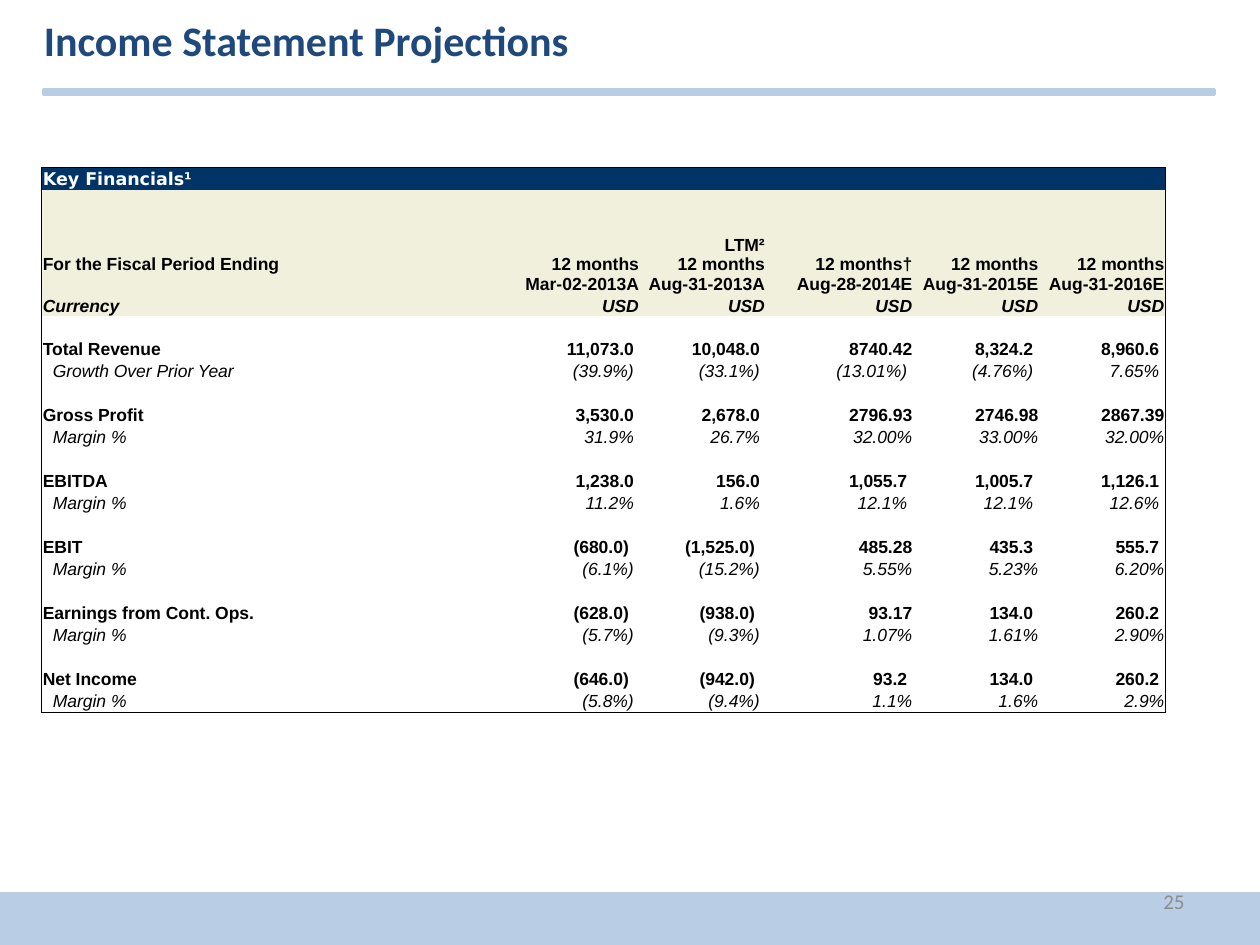
from lxml import etree
from pptx import Presentation
from pptx.dml.color import RGBColor
from pptx.enum.shapes import MSO_SHAPE as Shape
from pptx.enum.text import MSO_ANCHOR as Anchor, PP_ALIGN as Align
from pptx.oxml.ns import qn
from pptx.util import Inches, Pt

NAVY, CREAM, PALE_BLUE = "003366", "F0F0DC", "B9CDE5"
COLUMN_WIDTHS = [2.33, 2.42, 1, 1.17, 1, 1]
ROW_HEIGHT, PERIOD_HEIGHT = 0.175, 0.83
SPACE = 0.04  # width of one space at 10 pt
LINE = 0.16   # height of one line at 10 pt

PERIODS = ["For the Fiscal Period Ending", "12 months\vMar-02-2013A",
           "LTM²\v12 months\vAug-31-2013A", "12 months†\vAug-28-2014E",
           "12 months\vAug-31-2015E", "12 months\vAug-31-2016E"]
# Each section is a bold row and an italic ratio row; trailing spaces become right margins
SECTIONS = [
    (["Total Revenue", "11,073.0 ", "10,048.0 ", "8740.42", "8,324.2 ", "8,960.6 "],
     ["Growth Over Prior Year", "(39.9%) ", "(33.1%) ", "(13.01%) ", "(4.76%) ", "7.65% "]),
    (["Gross Profit", "3,530.0 ", "2,678.0 ", "2796.93", "2746.98", "2867.39"],
     ["Margin %", "31.9% ", "26.7% ", "32.00%", "33.00%", "32.00%"]),
    (["EBITDA", "1,238.0 ", "156.0 ", "1,055.7 ", "1,005.7 ", "1,126.1 "],
     ["Margin %", "11.2% ", "1.6% ", "12.1% ", "12.1% ", "12.6% "]),
    (["EBIT", "(680.0)  ", "(1,525.0)  ", "485.28", "435.3 ", "555.7 "],
     ["Margin %", "(6.1%) ", "(15.2%) ", "5.55%", "5.23%", "6.20%"]),
    (["Earnings from Cont. Ops.", "(628.0)  ", "(938.0)  ", "93.17", "134.0 ", "260.2 "],
     ["Margin %", "(5.7%) ", "(9.3%) ", "1.07%", "1.61%", "2.90%"]),
    (["Net Income", "(646.0)  ", "(942.0)  ", "93.2 ", "134.0 ", "260.2 "],
     ["Margin %", "(5.8%) ", "(9.4%) ", "1.1%", "1.6%", "2.9%"]),
]


def color(value):
    return RGBColor.from_string(value)


def set_font(paragraph, size, value, name="Arial", bold=False, italic=False):
    font = paragraph.font
    font.size, font.name = Pt(size), name
    font.bold, font.italic = bold, italic
    font.color.rgb = color(value)


def add_bar(slide, left, top, width, height, outline=None):
    bar = slide.shapes.add_shape(
        Shape.RECTANGLE, Inches(left), Inches(top), Inches(width), Inches(height))
    bar.shadow.inherit = False
    bar.fill.solid()
    bar.fill.fore_color.rgb = color(PALE_BLUE)
    if outline:
        bar.line.color.rgb = color(PALE_BLUE)
        bar.line.width = Pt(outline)
    else:
        bar.line.fill.background()


def add_label(slide, left, top, width, height, text, size, value, bold=False, align=Align.LEFT):
    box = slide.shapes.add_textbox(Inches(left), Inches(top), Inches(width), Inches(height))
    frame = box.text_frame
    frame.word_wrap = True
    frame.vertical_anchor = Anchor.MIDDLE
    paragraph = frame.paragraphs[0]
    paragraph.text, paragraph.alignment = text, align
    set_font(paragraph, size, value, "Calibri", bold)


def set_borders(cell, drawn_sides):
    """Draw a 1 pt black line on the given sides and none on the others."""
    properties = cell._tc.get_or_add_tcPr()
    for position, side in enumerate("LRTB"):
        line = etree.Element(qn(f"a:ln{side}"), w=str(Pt(1)))
        if side in drawn_sides:
            fill = etree.SubElement(line, qn("a:solidFill"))
            etree.SubElement(fill, qn("a:srgbClr"), val="000000")
        else:
            etree.SubElement(line, qn("a:noFill"))
        properties.insert(position, line)


def fill_cell(cell, text, is_label, fill, value, name, bold, italic, anchor):
    if fill:
        cell.fill.solid()
        cell.fill.fore_color.rgb = color(fill)
    else:
        cell.fill.background()
    trimmed = text.rstrip()
    cell.margin_left = cell.margin_top = Inches(0.01)
    cell.margin_right = Inches(0.01 + SPACE * (len(text) - len(trimmed)))
    cell.margin_bottom = 0
    cell.vertical_anchor = anchor
    paragraph = cell.text_frame.paragraphs[0]
    paragraph.text = trimmed
    paragraph.alignment = Align.LEFT if is_label else Align.RIGHT
    set_font(paragraph, 10, value, name, bold, italic)


def table_rows():
    """Return (texts, fill, text colour, font, bold, italic, anchor) for each row."""
    blank = [""] * len(COLUMN_WIDTHS)
    rows = [
        (["Key Financials¹"] + blank[1:], NAVY, "FFFFFF", "DejaVu Sans", True, False, Anchor.BOTTOM),
        (PERIODS, CREAM, "000000", "Arial", True, False, Anchor.BOTTOM),
        (["Currency"] + ["USD"] * 5, CREAM, "000000", "Arial", True, True, Anchor.BOTTOM),
    ]
    for amounts, ratios in SECTIONS:
        for texts, bold, italic in ((blank, False, False), (amounts, True, False),
                                    (ratios, False, True)):
            rows.append((texts, None, "000000", "Arial", bold, italic, Anchor.TOP))
    return rows


def add_financials(slide, left, top):
    rows = table_rows()
    height = ROW_HEIGHT * (len(rows) - 1) + PERIOD_HEIGHT
    table = slide.shapes.add_table(
        len(rows), len(COLUMN_WIDTHS), Inches(left), Inches(top),
        Inches(sum(COLUMN_WIDTHS)), Inches(height)).table
    table.first_row = table.horz_banding = False
    for column, width in zip(table.columns, COLUMN_WIDTHS):
        column.width = Inches(width)

    last_row, last_column = len(rows) - 1, len(COLUMN_WIDTHS) - 1
    for row, (texts, *style) in enumerate(rows):
        table.rows[row].height = Inches(PERIOD_HEIGHT if row == 1 else ROW_HEIGHT)
        for column, text in enumerate(texts):
            cell = table.cell(row, column)
            fill_cell(cell, text, column == 0, *style)
            edges = {"L": column == 0, "R": column == last_column,
                     "T": row == 0, "B": row == last_row}
            set_borders(cell, [side for side, drawn in edges.items() if drawn])

    # The period label sits one line above the dates; ratio labels are indented
    table.cell(1, 0).margin_bottom = Inches(LINE)
    for row in range(5, len(rows), 3):
        table.cell(row, 0).margin_left = Inches(0.01 + 2 * SPACE)


def add_header(slide, left, top, width):
    add_bar(slide, left + 0.1, top + 0.71, 9.29, 0.04, outline=2)
    add_label(slide, left, top, width, 0.63, "Income Statement Projections", 24, "1F497D", bold=True)


def add_footer(slide, left, top, width, height):
    add_bar(slide, left, top, width, height)
    add_label(slide, left + 7.17, top - 0.13, 2.33, 0.4, "25", 12, "8C8C8C", align=Align.RIGHT)


def main():
    presentation = Presentation()
    presentation.slide_width, presentation.slide_height = Inches(10), Inches(7.5)
    slide = presentation.slides.add_slide(presentation.slide_layouts[6])
    add_financials(slide, 0.33, 1.33)
    add_header(slide, 0.25, 0, 9.44)
    add_footer(slide, 0, 7.08, 10, 0.42)
    presentation.save("out.pptx")


if __name__ == "__main__":
    main()
